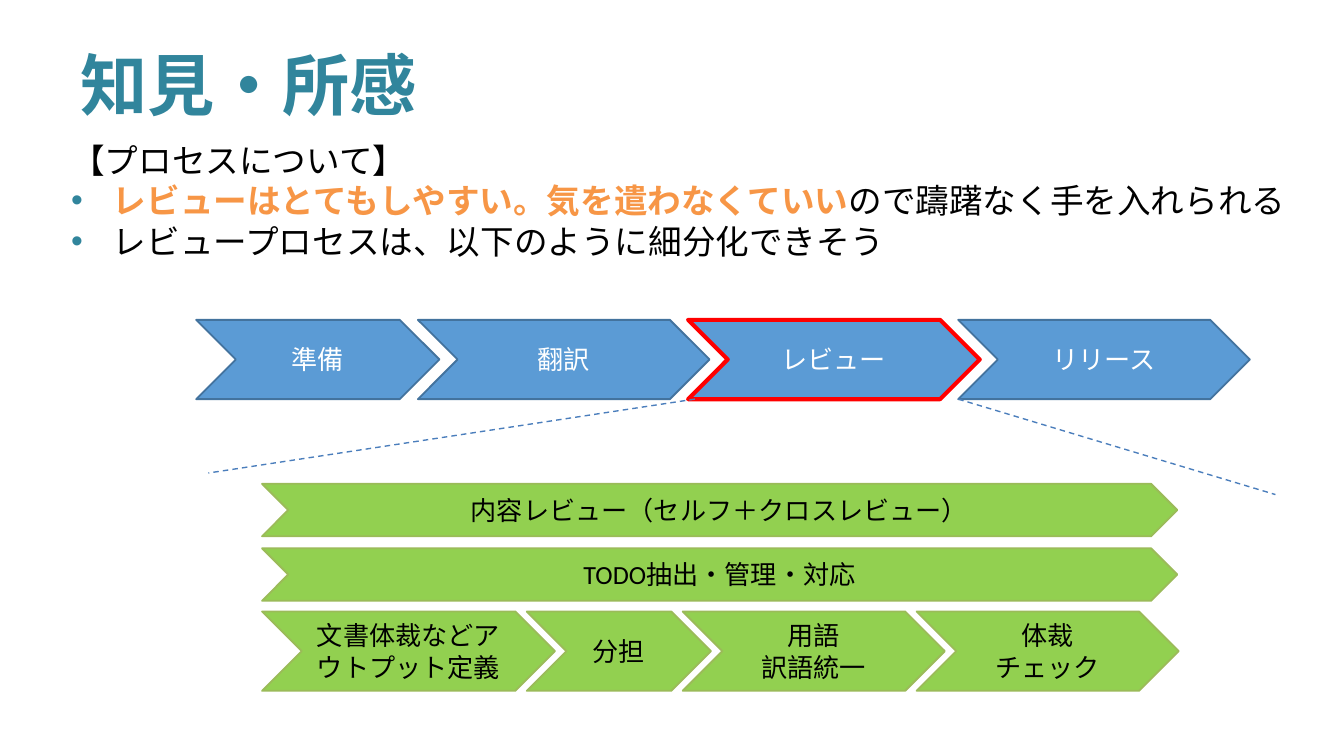
import pptx
import pptx.dml.color
import pptx.enum.dml
import pptx.enum.shapes
import pptx.enum.text
import pptx.oxml
import pptx.oxml.ns
import pptx.util

Inches, Pt = pptx.util.Inches, pptx.util.Pt
PP_ALIGN = pptx.enum.text.PP_ALIGN
MSO_ANCHOR = pptx.enum.text.MSO_ANCHOR

FONT = "Calibri"
TEAL, ORANGE, BLACK, WHITE = "31859C", "F79646", "000000", "FFFFFF"
BLUE = {"fill": "5B9BD5", "line": "43739E", "text": WHITE, "weight": 1}
RED_FRAMED = {**BLUE, "line": "FF0000", "weight": 2.25}
GREEN = {"fill": "92D050", "line": "9BBB59", "text": BLACK, "weight": 1}


def rgb(value):
    return pptx.dml.color.RGBColor.from_string(value)


def xml(tag, inner=""):
    return pptx.oxml.parse_xml(f"<a:{tag} {pptx.oxml.ns.nsdecls('a')}>{inner}</a:{tag.split()[0]}>")


def add_run(p, text, size, color, bold=False):
    r = p.add_run()
    r.text = text
    for name, value in {"name": FONT, "size": Pt(size), "bold": bold}.items():
        setattr(r.font, name, value)
    r.font.color.rgb = rgb(color)
    r._r.get_or_add_rPr().append(xml(f'ea typeface="{FONT}"'))


def place(shape, box):
    for name, value in zip(("left", "top", "width", "height"), box):
        setattr(shape, name, Inches(value))


def set_bullet(p, color=None, indent=0.0):
    """Give the paragraph a coloured bullet, or none when no colour is given."""
    pPr = p._p.get_or_add_pPr()
    pPr.set("marL", str(Inches(indent)))
    pPr.set("indent", str(-Inches(indent)))
    if color:
        pPr.append(xml("buClr", f'<a:srgbClr val="{color}"/>'))
        pPr.append(xml('buFont typeface="Arial"'))
        pPr.append(xml('buChar char="•"'))
    else:
        pPr.append(xml("buNone"))


def fill_title(sp, box, text):
    place(sp, box)
    tf = sp.text_frame
    tf.auto_size = pptx.enum.text.MSO_AUTO_SIZE.NONE
    tf.vertical_anchor = MSO_ANCHOR.MIDDLE
    p = tf.paragraphs[0]
    p.alignment = PP_ALIGN.LEFT
    add_run(p, text, 36, TEAL, True)


def fill_body(sp, box, heading, points):
    place(sp, box)
    tf = sp.text_frame
    tf.auto_size = pptx.enum.text.MSO_AUTO_SIZE.NONE
    tf.vertical_anchor = MSO_ANCHOR.TOP
    for i, (strong, plain) in enumerate([("", heading)] + points):
        p = tf.add_paragraph() if i else tf.paragraphs[0]
        p.space_before = Pt(0)
        set_bullet(p, TEAL if i else None, 0.31 if i else 0)
        if strong:
            add_run(p, strong, 18, ORANGE, True)
        add_run(p, plain, 18, BLACK)


def add_chevron(s, box, text, style):
    sp = s.shapes.add_shape(pptx.enum.shapes.MSO_SHAPE.CHEVRON, *map(Inches, box))
    sp.shadow.inherit = False
    sp.fill.solid()
    sp.fill.fore_color.rgb = rgb(style["fill"])
    sp.line.color.rgb = rgb(style["line"])
    sp.line.width = Pt(style["weight"])
    tf = sp.text_frame
    tf.word_wrap = True
    tf.vertical_anchor = MSO_ANCHOR.MIDDLE
    for i, line in enumerate(text.split("\n")):
        p = tf.add_paragraph() if i else tf.paragraphs[0]
        p.alignment = PP_ALIGN.CENTER
        add_run(p, line, 14, style["text"])


def add_chevron_row(s, left, top, height, overlap, steps):
    """Lay (width, text, style) steps from left to right, each nested in the one before."""
    for width, text, style in steps:
        add_chevron(s, (left, top, width, height), text, style)
        left += width - overlap


def add_zoom_line(s, start, end):
    line = s.shapes.add_connector(pptx.enum.shapes.MSO_CONNECTOR.STRAIGHT,
                                  *map(Inches, start + end))
    line.line.color.rgb = rgb("4B7EBC")
    line.line.width = Pt(0.75)
    line.line.dash_style = pptx.enum.dml.MSO_LINE.DASH
    line._element.spPr.append(xml("effectLst"))


def add_process(s, left, top):
    """Main process, with dashed lines that open out the review step."""
    height = 0.59
    add_chevron_row(s, left, top, height, 0.16, [
        (1.81, "準備", BLUE), (2.17, "翻訳", BLUE),
        (2.17, "レビュー", RED_FRAMED), (2.17, "リリース", BLUE)])
    bottom = top + height
    add_zoom_line(s, (left + 3.71, bottom), (left + 0.09, bottom + 0.55))
    add_zoom_line(s, (left + 5.67, bottom), (left + 8.03, bottom + 0.71))


def add_review_detail(s, left, top):
    for i, text in enumerate(["内容レビュー（セルフ＋クロスレビュー）", "TODO抽出・管理・対応"]):
        add_chevron(s, (left, top + i * 0.48, 6.81, 0.39), text, GREEN)
    add_chevron_row(s, left, top + 0.95, 0.59, 0.21, [
        (2.18, "文書体裁などアウトプット定義", GREEN), (1.37, "分担", GREEN),
        (1.95, "用語\n訳語統一", GREEN), (1.95, "体裁\nチェック", GREEN)])


def main():
    prs = pptx.Presentation()
    prs.slide_width = Inches(10)
    prs.slide_height = prs.slide_width * 9 // 16
    s = prs.slides.add_slide(prs.slide_layouts[1])
    fill_title(s.shapes.title, (0.5, 0.23, 9, 0.78), "知見・所感")
    fill_body(s.placeholders[1], (0.43, 0.99, 9.29, 1.62), "【プロセスについて】", [
        ("レビューはとてもしやすい。気を遣わなくていい", "ので躊躇なく手を入れられる"),
        ("", "レビュープロセスは、以下のように細分化できそう")])
    add_process(s, 1.46, 2.38)
    add_review_detail(s, 1.95, 3.6)
    prs.save("out.pptx")


if __name__ == "__main__":
    main()
